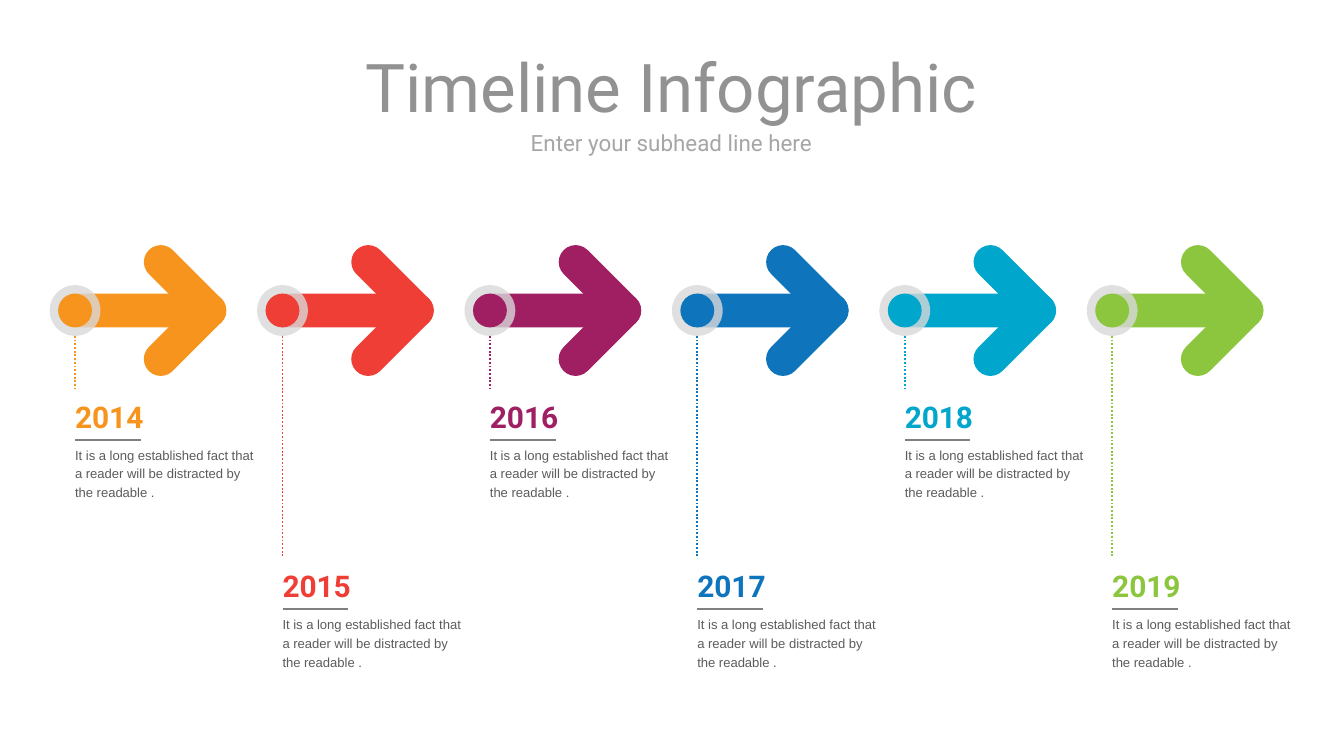
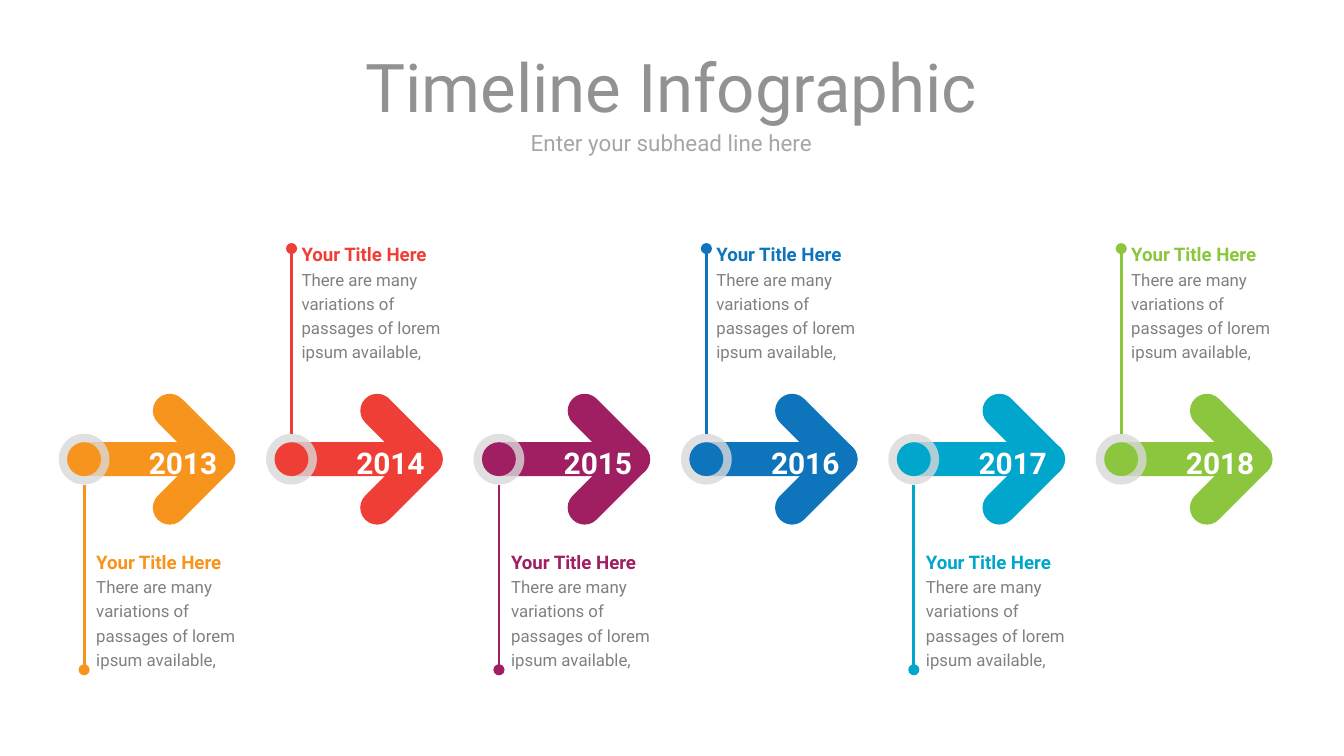
from lxml import etree
from pptx import Presentation
from pptx import util as u
from pptx.dml.color import RGBColor
from pptx.enum import dml, shapes, text
from pptx.oxml.ns import qn

HUES = [
    RGBColor(0xF7, 0x94, 0x1D),
    RGBColor(0xEF, 0x3E, 0x36),
    RGBColor(0xA0, 0x1F, 0x62),
    RGBColor(0x0E, 0x74, 0xBC),
    RGBColor(0x00, 0xA6, 0xCC),
    RGBColor(0x8C, 0xC6, 0x3E),
]
WHITE = RGBColor(0xFF, 0xFF, 0xFF)
RING = RGBColor(0xD9, 0xD9, 0xD9)
HEAD = RGBColor(0x92, 0x92, 0x92)
SUB = RGBColor(0xA6, 0xA6, 0xA6)
BODY = RGBColor(0x5C, 0x5C, 0x5C)
GREY = RGBColor(0x80, 0x80, 0x80)

ROUND = shapes.MSO_SHAPE.ROUNDED_RECTANGLE
OVAL = shapes.MSO_SHAPE.OVAL
LEFT, MID, RIGHT = text.PP_ALIGN.LEFT, text.PP_ALIGN.CENTER, text.PP_ALIGN.RIGHT

PITCH = 3.92   # step from one milestone to the next, in cm
BAR = 0.64     # thickness of arrow strokes and width of the dot
DISC = 0.96    # width of the ring


class Deck:
    """Holds the style and the current slide; all lengths are in cm."""

    def __init__(self):
        self.show = Presentation()
        self.show.slide_width = u.Cm(25.4)
        self.show.slide_height = u.Cm(14.29)
        self.slide = None

    def start(self):
        """Add a slide with the shared heading."""
        self.slide = self.show.slides.add_slide(self.show.slide_layouts[6])
        self.label((1.07, 2.46, 23.24, 0.48),
                   [("Enter your subhead line here", 12, SUB, False)],
                   align=MID, lead=1, grow=False)
        self.label((1.07, 0.94, 23.24, 1.37),
                   [("Timeline Infographic", 36, HEAD, False)],
                   align=MID, lead=1, grow=False)

    def fill(self, frame, paras, align=LEFT, lead=1.2, font="Roboto", side=0):
        """Fill a frame; each paragraph is (words, size, colour, bold)."""
        frame.word_wrap = True
        frame.vertical_anchor = text.MSO_ANCHOR.MIDDLE
        frame.margin_left = frame.margin_right = u.Cm(side)
        frame.margin_top = frame.margin_bottom = 0
        for i, (words, size, hue, bold) in enumerate(paras):
            para = frame.add_paragraph() if i else frame.paragraphs[0]
            para.alignment = align
            para.line_spacing = lead
            run = para.add_run()
            run.text = words
            run.font.name = font
            run.font.size = u.Pt(size)
            run.font.bold = bold
            run.font.color.rgb = hue

    def label(self, box, paras, grow=True, **style):
        frame = self.slide.shapes.add_textbox(*map(u.Cm, box)).text_frame
        self.fill(frame, paras, **style)
        if grow:
            frame.auto_size = text.MSO_AUTO_SIZE.SHAPE_TO_FIT_TEXT

    def shape(self, kind, box, hue, turn=0, alpha=None):
        item = self.slide.shapes.add_shape(kind, *map(u.Cm, box))
        item.shadow.inherit = False
        item.fill.solid()
        item.fill.fore_color.rgb = hue
        item.line.fill.background()
        item.rotation = turn
        if kind == ROUND:
            item.adjustments[0] = 0.5
        if alpha:
            tint = item.element.spPr.find(".//" + qn("a:srgbClr"))
            etree.SubElement(tint, qn("a:alpha"), val=str(alpha * 1000))
        return item

    def disc(self, x, y, size, hue, **style):
        self.shape(OVAL, (x - size / 2, y - size / 2, size, size), hue, **style)

    def line(self, x, y, x2, y2, hue, width=1.0, dots=False, knob=False):
        """Draw a line, dotted or with a round knob at its far end."""
        item = self.slide.shapes.add_connector(
            shapes.MSO_CONNECTOR.STRAIGHT, *map(u.Cm, (x, y, x2, y2)))
        item.line.color.rgb = hue
        item.line.width = u.Pt(width)
        if dots:
            item.line.dash_style = dml.MSO_LINE.ROUND_DOT
        props = item.element.spPr
        if knob:
            etree.SubElement(props.find(qn("a:ln")), qn("a:tailEnd"), type="oval")
        etree.SubElement(props, qn("a:effectLst"))

    def arrow(self, x, y, hue, year=None):
        """Draw an arrow whose ringed dot is centred on (x, y)."""
        for turn, shift in ((45, -0.46), (315, 0.46)):
            self.shape(ROUND, (x + 1.11, y + shift - BAR / 2, 1.93, BAR), hue, turn)
        shaft = self.shape(ROUND, (x - BAR / 2, y - BAR / 2, 3.18, BAR), hue)
        if year:
            self.fill(shaft.text_frame, [(year, 16, WHITE, True)],
                      align=RIGHT, side=0.25)
        self.disc(x, y, DISC, RING, alpha=80)
        self.disc(x, y, BAR, hue)


def dotted(deck):
    """Years hang below the arrows at two alternating depths."""
    deck.start()
    y = 5.87
    fact = ("It is a long established fact that a reader "
            "will be distracted by the readable .")
    for i, hue in enumerate(HUES):
        x = 1.42 + i * PITCH
        drop = 3.2 * (i % 2)
        deck.arrow(x, y, hue)
        deck.line(x, y + DISC / 2, x, 7.34 + drop, hue, dots=True)
        deck.label((x, 7.42 + drop, 2.36, 0.76), [(str(2014 + i), 16, hue, True)])
        deck.label((x, 8.39 + drop, 3.45, 1.07), [(fact, 7, BODY, False)],
                   font="Arial")
        deck.line(x, 8.31 + drop, x + 1.24, 8.31 + drop, GREY)


def knobbed(deck):
    """Notes stand in turn below and above the arrows."""
    deck.start()
    y = 8.68
    note = "There are many variations of passages of lorem ipsum available,"
    for i, hue in enumerate(HUES):
        x = 1.59 + i * PITCH
        side, gap, top = (-1, 0.19, 4.5) if i % 2 else (1, 0.23, 10.31)
        deck.arrow(x, y, hue, str(2013 + i))
        deck.line(x, y + side * DISC / 2, x, y + side * 3.98, hue, 1.5, knob=True)
        deck.label((x + gap, top, 2.92, 2.36),
                   [("Your Title Here", 10, hue, True), (note, 9, GREY, False)])


def main():
    deck = Deck()
    dotted(deck)
    knobbed(deck)
    deck.show.save("out.pptx")


if __name__ == "__main__":
    main()
